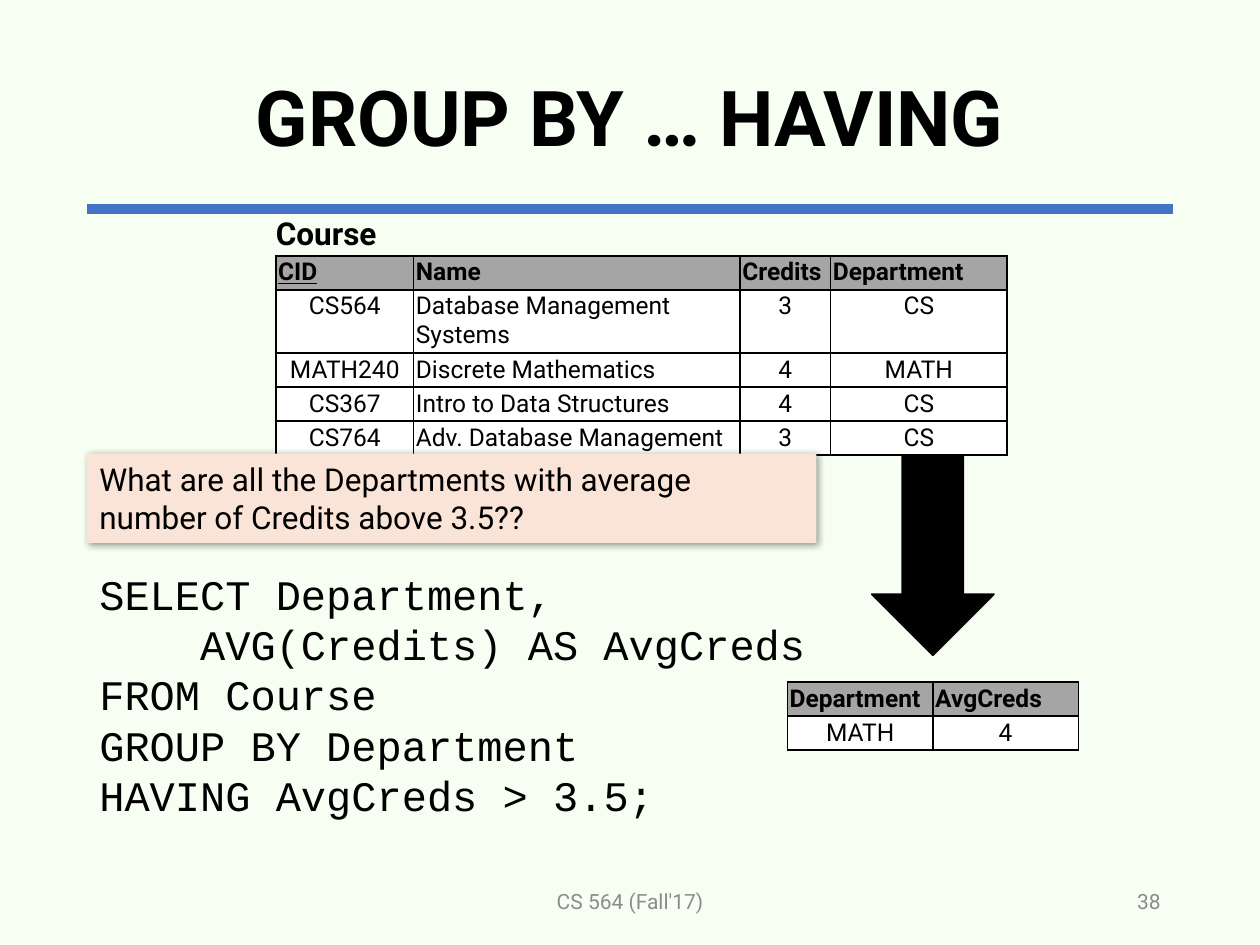
"""Build the GROUP BY … HAVING lecture slide."""
from dataclasses import dataclass, field

from lxml import etree
from pptx import Presentation
from pptx.dml.color import RGBColor
from pptx.enum.shapes import MSO_CONNECTOR, MSO_SHAPE
from pptx.enum.text import MSO_ANCHOR, PP_ALIGN
from pptx.oxml.ns import qn
from pptx.util import Pt

LEFT, CENTER, RIGHT = PP_ALIGN.LEFT, PP_ALIGN.CENTER, PP_ALIGN.RIGHT
TOP, MIDDLE = MSO_ANCHOR.TOP, MSO_ANCHOR.MIDDLE
RECTANGLE, DOWN_ARROW = MSO_SHAPE.RECTANGLE, MSO_SHAPE.DOWN_ARROW
STRAIGHT = MSO_CONNECTOR.STRAIGHT

COLORS = {
    "background": "F7FFF3",
    "rule": "4472C4",
    "text": "000000",
    "footer": "8C8C8C",
    "header": "A5A5A5",
    "cell": "FFFFFF",
    "question": "FAE4D7",
}
BODY_FONT, CODE_FONT = "Roboto", "Courier New"
CODE_INDENT = 57.6
ROW_HEIGHT = 19.4


@dataclass
class Label:
    """Text lines in a box, with lengths in points."""

    lines: list[str]
    box: tuple[float, float, float, float]
    size: float
    font: str = BODY_FONT
    color: str = "text"
    bold: bool = False
    align: PP_ALIGN = LEFT
    anchor: MSO_ANCHOR = TOP
    wrap: bool = True
    spacing: float = 1.0
    indents: dict[int, float] = field(default_factory=dict)


@dataclass
class Relation:
    """A database table whose first row is its header."""

    left: float
    top: float
    widths: list[float]
    rows: list[list[str]]
    left_columns: set[str] = field(default_factory=set)
    key: str = ""


LABELS = [
    Label(["GROUP BY … HAVING"], (49.7, 17.3, 620.6, 104.4), 44, bold=True,
          align=CENTER, anchor=MIDDLE, spacing=0.9),
    Label(["CS 564 (Fall'17)"], (238.3, 500.4, 243.4, 28.8), 12,
          color="footer", align=CENTER, anchor=MIDDLE),
    Label(["38"], (508.3, 500.4, 162, 28.8), 12,
          color="footer", align=RIGHT, anchor=MIDDLE),
    Label(["SELECT Department,", "AVG(Credits) AS AvgCreds", "FROM Course",
           "GROUP BY Department", "HAVING AvgCreds > 3.5;"],
          (49.7, 321.1, 432, 154.1), 24, font=CODE_FONT, indents={1: CODE_INDENT}),
    Label(["Course"], (150.5, 118.8, 72.7, 28.8), 18, bold=True, wrap=False),
]
QUESTION = Label(
    ["What are all the Departments with average number of Credits above 3.5??"],
    (49.7, 259.2, 416.9, 51.1), 18)
COURSE = Relation(157.7, 146.2, [78.7, 186.5, 51.8, 100.8], [
    ["CID", "Name", "Credits", "Department"],
    ["CS564", "Database Management Systems", "3", "CS"],
    ["MATH240", "Discrete Mathematics", "4", "MATH"],
    ["CS367", "Intro to Data Structures", "4", "CS"],
    ["CS764", "Adv. Database Management", "3", "CS"],
], {"Name"}, "CID")
RESULT = Relation(450, 389.7, [83.1, 83.1], [
    ["Department", "AvgCreds"],
    ["MATH", "4"],
])


def rgb(name: str) -> RGBColor:
    """Look up a named colour."""
    return RGBColor.from_string(COLORS[name])


def set_all(target, formats: dict) -> None:
    """Set each attribute of the target from a dict."""
    for name, value in formats.items():
        setattr(target, name, value)


def add_run(p, text: str, color: str, formats: dict) -> None:
    """Add a formatted run to a paragraph."""
    r = p.add_run()
    r.text = text
    set_all(r.font, formats)
    r.font.color.rgb = rgb(color)


def fill_text(sp, label: Label) -> None:
    """Write a label into a shape."""
    tf = sp.text_frame
    set_all(tf, {"word_wrap": label.wrap, "vertical_anchor": label.anchor})
    for i, line in enumerate(label.lines):
        p = tf.add_paragraph() if i else tf.paragraphs[0]
        set_all(p, {"alignment": label.align, "line_spacing": label.spacing})
        if i in label.indents:
            p._p.get_or_add_pPr().set("marL", str(Pt(label.indents[i])))
        add_run(p, line, label.color,
                {"name": label.font, "size": Pt(label.size), "bold": label.bold})


def add_label(s, label: Label) -> None:
    """Add a text box."""
    fill_text(s.shapes.add_textbox(*map(Pt, label.box)), label)


def add_block(s, kind: MSO_SHAPE, box: tuple[float, ...], color: str):
    """Add a filled shape without outline or shadow."""
    sp = s.shapes.add_shape(kind, *map(Pt, box))
    sp.shadow.inherit = False
    sp.fill.solid()
    sp.fill.fore_color.rgb = rgb(color)
    sp.line.fill.background()
    return sp


def add_rule(s) -> None:
    """Draw the rule under the title."""
    line = s.shapes.add_connector(STRAIGHT, Pt(49.7), Pt(119.5), Pt(670.3), Pt(119.5))
    line.line.color.rgb = rgb("rule")
    line.line.width = Pt(6)
    etree.SubElement(line._element.spPr, qn("a:effectLst"))


def add_question(s) -> None:
    """Add the question box with its soft shadow."""
    sp = add_block(s, RECTANGLE, QUESTION.box, "question")
    effects = sp._element.spPr.find(qn("a:effectLst"))
    shadow = etree.SubElement(effects, qn("a:outerShdw"), blurRad=str(Pt(4)),
                              dist=str(Pt(1)), dir="2700000", rotWithShape="0")
    color = etree.SubElement(shadow, qn("a:srgbClr"), val=COLORS["text"])
    etree.SubElement(color, qn("a:alpha"), val="40000")
    fill_text(sp, QUESTION)


def add_borders(cell) -> None:
    """Give a cell a thin line on each side."""
    for side in ("a:lnL", "a:lnR", "a:lnT", "a:lnB"):
        ln = etree.SubElement(cell._tc.get_or_add_tcPr(), qn(side), w=str(Pt(1)))
        fill = etree.SubElement(ln, qn("a:solidFill"))
        etree.SubElement(fill, qn("a:srgbClr"), val=COLORS["text"])


def add_relation(s, rel: Relation) -> None:
    """Draw a relation as a table."""
    table = s.shapes.add_table(
        len(rel.rows), len(rel.widths), Pt(rel.left), Pt(rel.top),
        Pt(sum(rel.widths)), Pt(ROW_HEIGHT * len(rel.rows))).table
    set_all(table, {"first_row": False, "horz_banding": False})
    margins = {f"margin_{side}": Pt(1.3) for side in ("left", "right", "top", "bottom")}
    for column, width in zip(table.columns, rel.widths):
        column.width = Pt(width)
    for i, row in enumerate(rel.rows):
        is_header = i == 0
        for j, text in enumerate(row):
            cell = table.cell(i, j)
            set_all(cell, margins)
            add_borders(cell)
            cell.fill.solid()
            cell.fill.fore_color.rgb = rgb("header" if is_header else "cell")
            p = cell.text_frame.paragraphs[0]
            to_left = is_header or rel.rows[0][j] in rel.left_columns
            p.alignment = LEFT if to_left else CENTER
            add_run(p, text, "text", {
                "name": BODY_FONT, "size": Pt(14), "bold": is_header,
                "underline": is_header and text == rel.key})


def main() -> None:
    """Build and save the slide."""
    prs = Presentation()
    set_all(prs, {"slide_width": Pt(720), "slide_height": Pt(540)})
    s = prs.slides.add_slide(prs.slide_layouts[6])
    s.background.fill.solid()
    s.background.fill.fore_color.rgb = rgb("background")
    add_rule(s)
    for label in LABELS:
        add_label(s, label)
    arrow = add_block(s, DOWN_ARROW, (498.2, 260.6, 69.8, 113.8), "text")
    arrow.line.color.rgb = rgb("text")
    arrow.line.width = Pt(1)
    add_relation(s, COURSE)
    add_question(s)
    add_relation(s, RESULT)
    prs.save("out.pptx")


if __name__ == "__main__":
    main()
